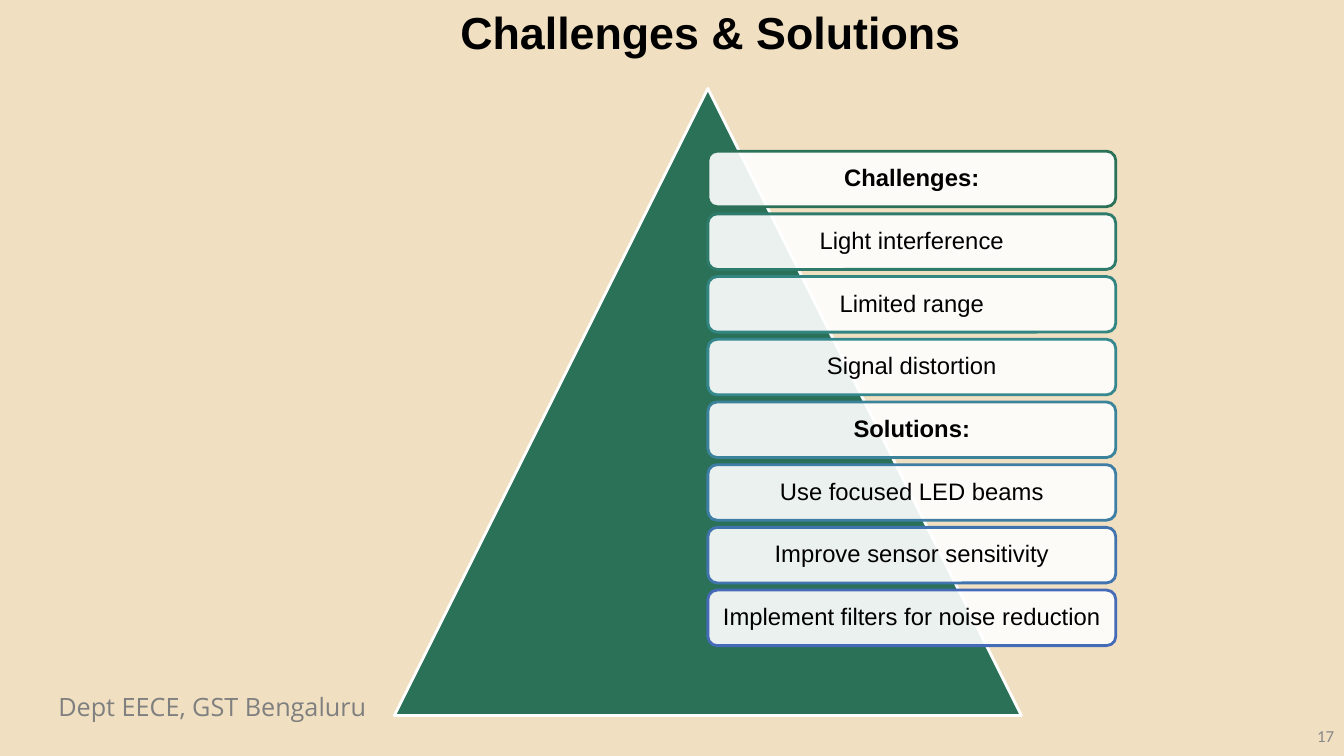
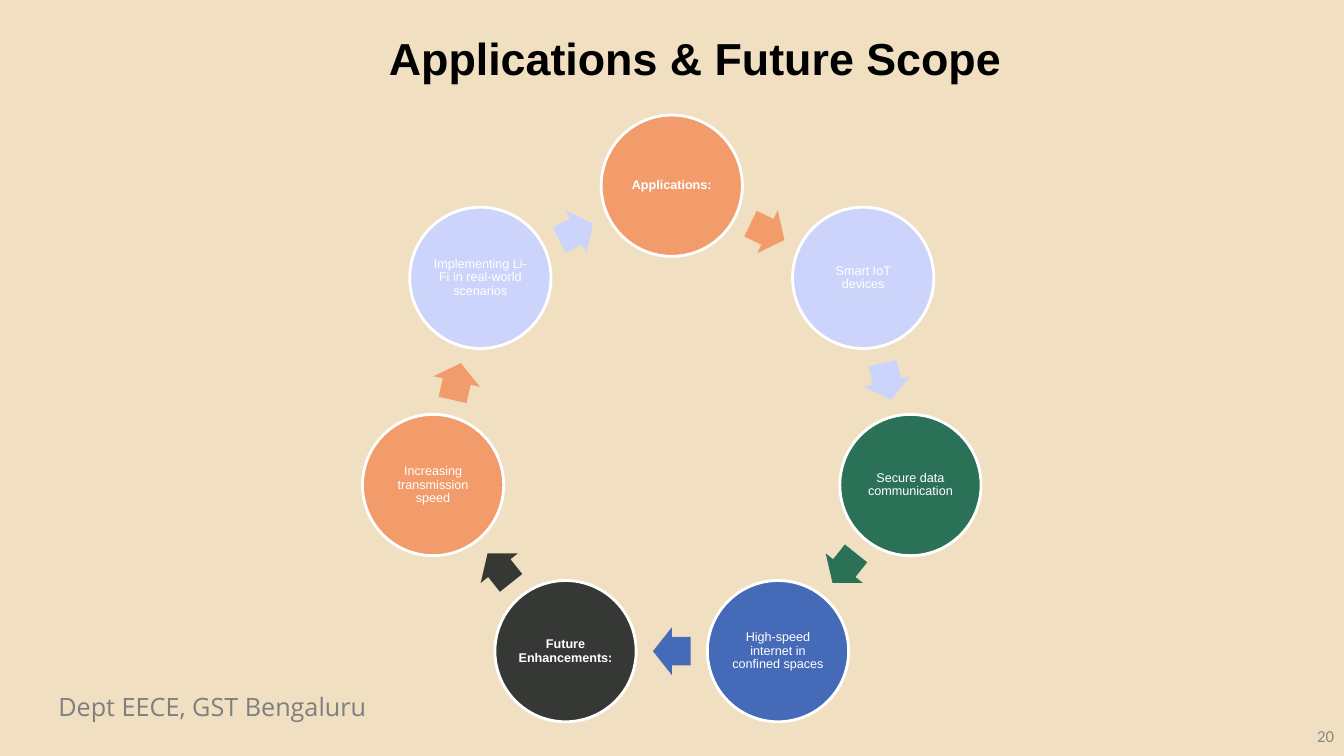
from math import cos, pi, sin

from lxml.etree import SubElement
from pptx import Presentation
from pptx.dml.color import RGBColor
from pptx.enum.shapes import MSO_SHAPE
from pptx.enum.text import MSO_ANCHOR, PP_ALIGN
from pptx.oxml.ns import qn
from pptx.util import Cm, Pt

COLOURS = {
    "sand": "F0E0C1",
    "white": "FFFFFF",
    "black": "000000",
    "footer": "7F7F7F",
    "number": "888888",
    "green": "2B7158",
    "jade": "2F7B6B",
    "teal": "328580",
    "lagoon": "36888F",
    "cyan": "3A839A",
    "steel": "3E7DA4",
    "azure": "4174AE",
    "blue": "456AB8",
    "orange": "F29B6B",
    "lavender": "CCD4FB",
    "charcoal": "363836",
}


def write(shape, text, size, colour, font="Arial", bold=False,
          align=PP_ALIGN.LEFT, anchor=MSO_ANCHOR.TOP, margin=None):
    frame = shape.text_frame
    frame.word_wrap = True
    frame.vertical_anchor = anchor
    if margin is not None:
        frame.margin_left = frame.margin_right = Cm(margin)
        frame.margin_top = frame.margin_bottom = Cm(margin)
    paragraph = frame.paragraphs[0]
    paragraph.alignment = align
    if align == PP_ALIGN.CENTER:
        paragraph.line_spacing = 0.9
    run = paragraph.add_run()
    run.text = text
    run.font.name = font
    run.font.size = Pt(size)
    run.font.bold = bold
    run.font.color.rgb = RGBColor.from_string(COLOURS[colour])


def draw(slide, kind, left, top, width, height, fill, line=None):
    shape = slide.shapes.add_shape(kind, Cm(left), Cm(top), Cm(width), Cm(height))
    shape.shadow.inherit = False
    shape.fill.solid()
    shape.fill.fore_color.rgb = RGBColor.from_string(COLOURS[fill])
    if line:
        shape.line.color.rgb = RGBColor.from_string(COLOURS[line])
        shape.line.width = Pt(2)
    else:
        shape.line.fill.background()
    return shape


presentation = Presentation()
presentation.slide_width = Cm(33.87)
presentation.slide_height = Cm(19.05)
background = presentation.slide_master.background.fill
background.solid()
background.fore_color.rgb = RGBColor.from_string(COLOURS["sand"])

slides = []
for title, left, top, width, number in [
    ("Challenges & Solutions", 11.35, 0, 18.21, "17"),
    ("Applications & Future Scope", 9.55, 0.64, 17.04, "20"),
]:
    slide = presentation.slides.add_slide(presentation.slide_layouts[6])
    slides.append(slide)
    footer_box = slide.shapes.add_textbox(Cm(1.22), Cm(17.3), Cm(13.31), Cm(1.02))
    write(footer_box, "Dept EECE, GST Bengaluru", 18, "footer", font="Open Sans")
    number_box = slide.shapes.add_textbox(Cm(26.25), Cm(18.03), Cm(7.62), Cm(1.02))
    write(number_box, number, 12, "number", font="Calibri",
          align=PP_ALIGN.RIGHT, anchor=MSO_ANCHOR.MIDDLE)
    title_box = slide.shapes.add_textbox(Cm(left), Cm(top), Cm(width), Cm(1.62))
    write(title_box, title, 32, "black", bold=True)

challenges_slide, applications_slide = slides

draw(challenges_slide, MSO_SHAPE.ISOSCELES_TRIANGLE, 9.94, 2.23, 15.8, 15.8,
     "green", "white")

cards = [
    ("Challenges:", "green"),
    ("Light interference", "jade"),
    ("Limited range", "teal"),
    ("Signal distortion", "lagoon"),
    ("Solutions:", "cyan"),
    ("Use focused LED beams", "steel"),
    ("Improve sensor sensitivity", "azure"),
    ("Implement filters for noise reduction", "blue"),
]
for index, (text, border) in enumerate(cards):
    card = draw(challenges_slide, MSO_SHAPE.ROUNDED_RECTANGLE,
                17.84, 3.81 + 1.58 * index, 10.28, 1.4, "white", border)
    fill_colour = card.element.spPr.find(qn("a:solidFill")).find(qn("a:srgbClr"))
    SubElement(fill_colour, qn("a:alpha")).set("val", "90000")
    write(card, text, 17, "black", bold=text.endswith(":"),
          align=PP_ALIGN.CENTER, anchor=MSO_ANCHOR.MIDDLE, margin=0.18)

steps = [
    ("Applications:", "orange"),
    ("Smart IoT devices", "lavender"),
    ("Secure data communication", "green"),
    ("High-speed internet in confined spaces", "blue"),
    ("Future Enhancements:", "charcoal"),
    ("Increasing transmission speed", "orange"),
    ("Implementing Li-Fi in real-world scenarios", "lavender"),
]
centre_x, centre_y, ring_radius = 16.93, 10.85, 6.17
diameter = 3.56
arrow_width, arrow_height = 0.95, 1.2
step_angle = 2 * pi / len(steps)
arrow_radius = ring_radius * cos(step_angle / 2)

for index, (text, colour) in enumerate(steps):
    angle = index * step_angle
    circle = draw(applications_slide, MSO_SHAPE.OVAL,
                  centre_x + ring_radius * sin(angle) - diameter / 2,
                  centre_y - ring_radius * cos(angle) - diameter / 2,
                  diameter, diameter, colour, "white")
    write(circle, text, 9, "white", bold=text.endswith(":"),
          align=PP_ALIGN.CENTER, anchor=MSO_ANCHOR.MIDDLE, margin=0.03)

    arrow_angle = angle + step_angle / 2
    arrow = draw(applications_slide, MSO_SHAPE.RIGHT_ARROW,
                 centre_x + arrow_radius * sin(arrow_angle) - arrow_width / 2,
                 centre_y - arrow_radius * cos(arrow_angle) - arrow_height / 2,
                 arrow_width, arrow_height, colour)
    arrow.adjustments[0] = 0.6
    arrow.adjustments[1] = 0.5
    arrow.rotation = 360 * (index + 0.5) / len(steps)

presentation.save("out.pptx")
